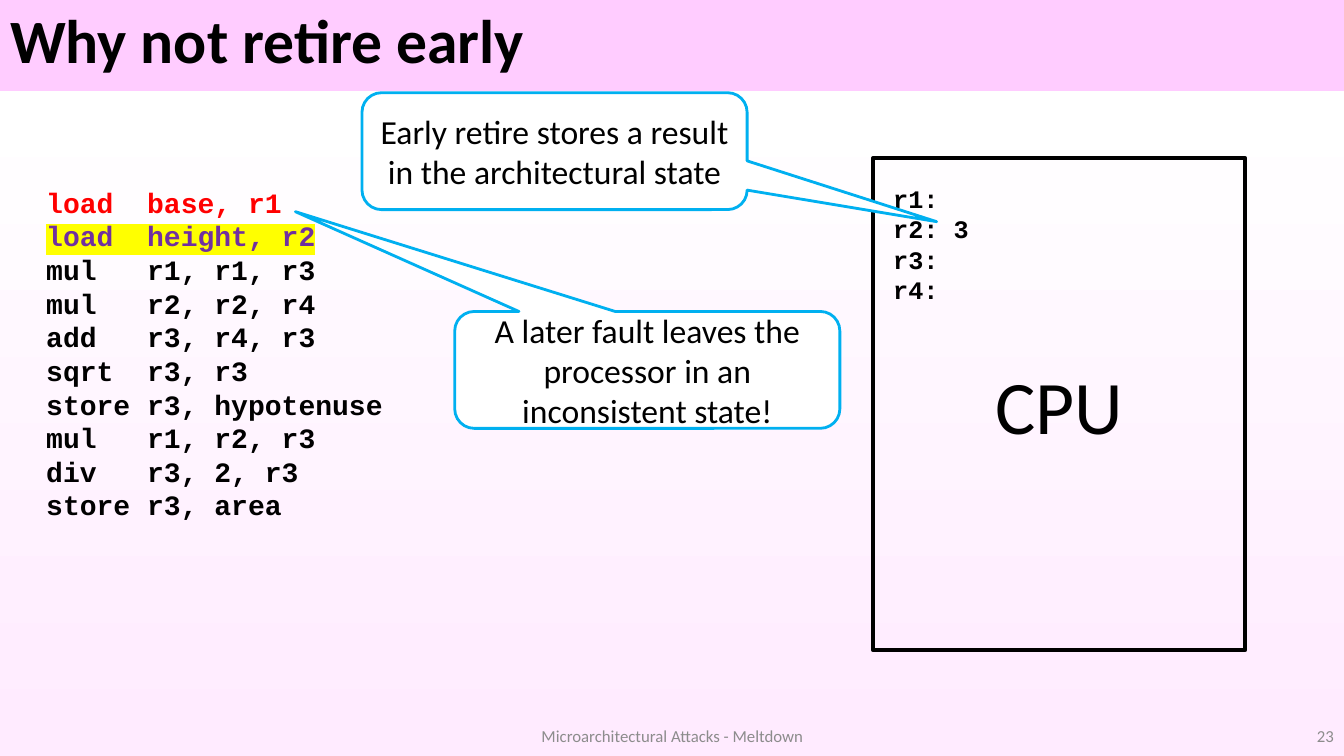
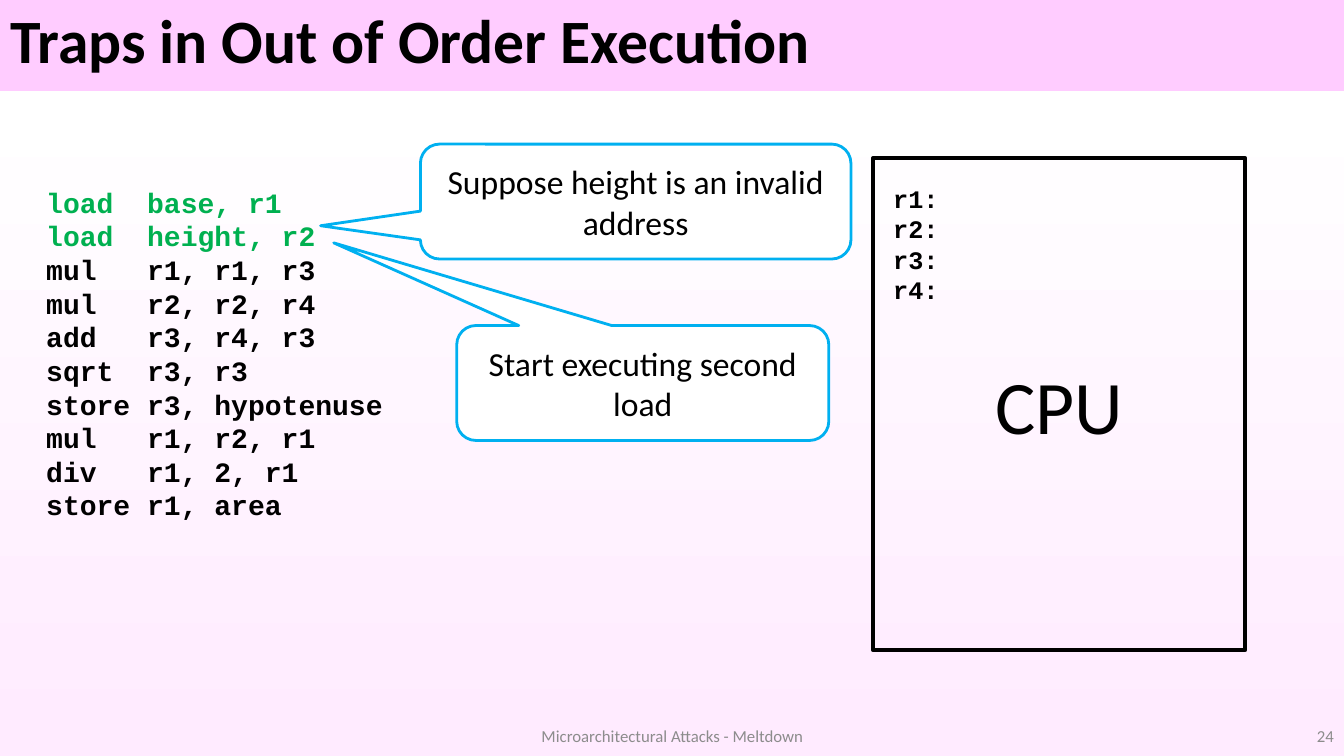
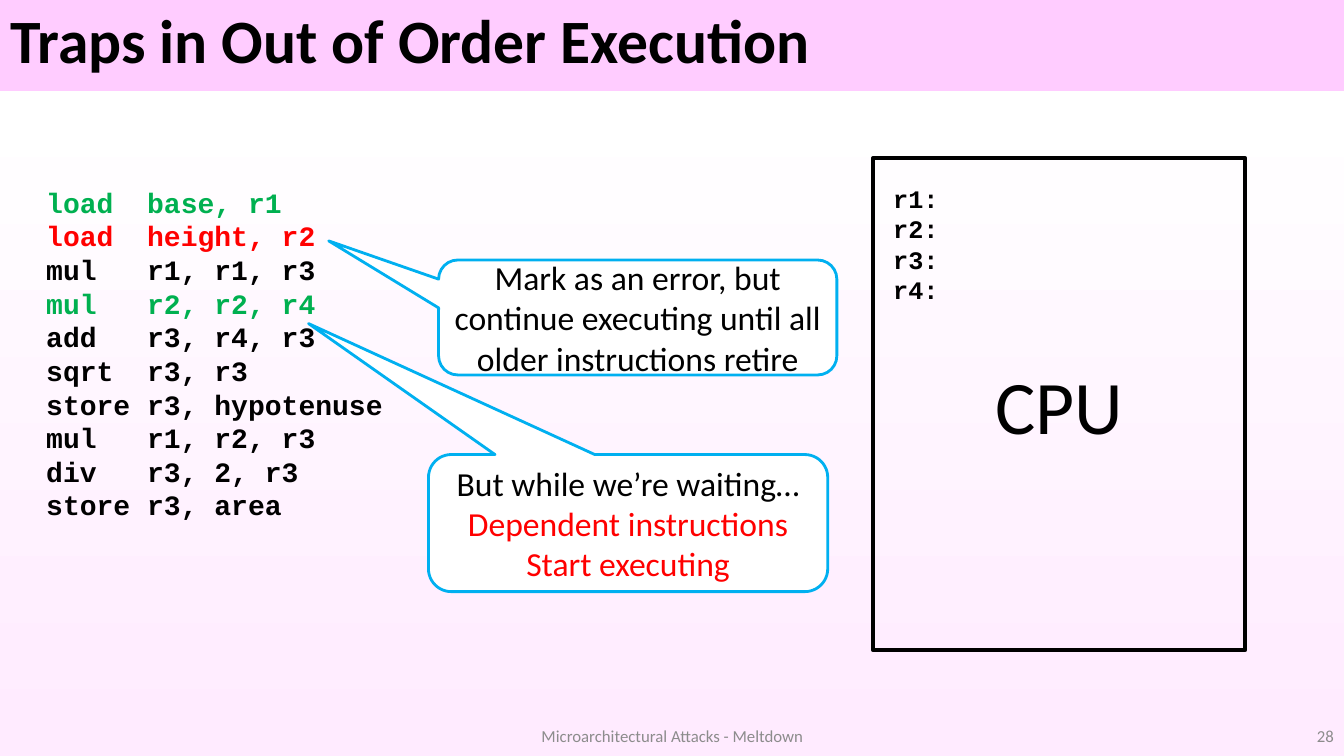
import copy
from dataclasses import dataclass

import lxml.etree
import pptx
import pptx.dml.color
import pptx.enum.shapes
import pptx.enum.text
import pptx.oxml.ns
import pptx.util

Inches = pptx.util.Inches
Align = pptx.enum.text.PP_ALIGN
Anchor = pptx.enum.text.MSO_ANCHOR
AutoSize = pptx.enum.text.MSO_AUTO_SIZE
Preset = pptx.enum.shapes.MSO_SHAPE


@dataclass(frozen=True)
class Theme:
    text_font: str = "Calibri"
    code_font: str = "Courier New"
    black: str = "000000"
    white: str = "FFFFFF"
    grey: str = "8C8C8C"
    red: str = "FF0000"
    green: str = "00B050"
    purple: str = "7030A0"
    yellow: str = "FFFF00"
    blue: str = "00B0F0"
    title_size: int = 44
    cpu_size: int = 54
    callout_size: int = 24
    code_size: int = 20
    register_size: int = 18
    footer_size: int = 12
    # Title band and page wash: (percent, colour) from top to bottom
    background: tuple = ((0, "FFCCFF"), (12, "FFCCFF"), (12, "FFFFFF"), (100, "FFEBFF"))


THEME = Theme()
FOOTER = "Microarchitectural Attacks - Meltdown"

# Boxes: left, top, width, height in inches
TITLE_BOX = (0, 0, 13.33, 0.87)
FOOTER_BOX = (4.42, 7.1, 4.5, 0.4)
NUMBER_BOX = (10.33, 7.1, 3, 0.4)
CODE_BOX = (0.36, 1.79, 3.82, 3.47)
CPU_BOX = (8.66, 1.57, 3.69, 4.88)

HYPOTENUSE_CODE = [
    "load  base, r1",
    "load  height, r2",
    "mul   r1, r1, r3",
    "mul   r2, r2, r4",
    "add   r3, r4, r3",
    "sqrt  r3, r3",
    "store r3, hypotenuse",
]


def area_code(register):
    return [f"mul   r1, r2, {register}", f"div   {register}, 2, {register}", f"store {register}, area"]


def rgb(colour):
    return pptx.dml.color.RGBColor.from_string(colour)


def inches(box):
    return [Inches(value) for value in box]


def place(shape, box):
    shape.left, shape.top, shape.width, shape.height = inches(box)


def write(shape, lines, size, font=THEME.text_font, bold=False, align=Align.LEFT,
          anchor=Anchor.MIDDLE, auto_size=AutoSize.NONE, colours=None):
    """Fill a shape with one paragraph per line; colours maps line index to colour."""
    frame = shape.text_frame
    frame.text = "\n".join(lines)
    frame.word_wrap = True
    frame.auto_size = auto_size
    frame.vertical_anchor = anchor
    for index, paragraph in enumerate(frame.paragraphs):
        paragraph.alignment = align
        for run in paragraph.runs:
            run.font.name = font
            run.font.size = pptx.util.Pt(size)
            run.font.bold = bold
            run.font.color.rgb = rgb((colours or {}).get(index, THEME.black))


def highlight(run, colour):
    qn = pptx.oxml.ns.qn
    mark = lxml.etree.Element(qn("a:highlight"))
    lxml.etree.SubElement(mark, qn("a:srgbClr"), val=colour)
    run.font._element.find(qn("a:solidFill")).addnext(mark)


def outline(shape, colour, width):
    shape.shadow.inherit = False
    shape.line.color.rgb = rgb(colour)
    shape.line.width = pptx.util.Pt(width)


def prepare_layout(presentation):
    """Set the shared background and the title, footer and number places."""
    qn = pptx.oxml.ns.qn
    master = presentation.slide_master
    fill = master.background.fill
    fill.gradient()
    fill.gradient_angle = 270
    stops = master.element.find(".//" + qn("a:gsLst"))
    for stop in list(stops):
        stops.remove(stop)
    for percent, colour in THEME.background:
        stop = lxml.etree.SubElement(stops, qn("a:gs"), pos=str(percent * 1000))
        lxml.etree.SubElement(stop, qn("a:srgbClr"), val=colour)

    layout = presentation.slide_layouts.get_by_name("Title Only")
    boxes = {0: TITLE_BOX, 11: FOOTER_BOX, 12: NUMBER_BOX}
    for placeholder in layout.placeholders:
        index = placeholder.placeholder_format.idx
        if index in boxes:
            place(placeholder, boxes[index])
    return layout


def add_footer_part(slide, layout, index, text, align):
    source = next(p for p in layout.placeholders if p.placeholder_format.idx == index)
    slide.shapes._spTree.append(copy.deepcopy(source.element))
    write(slide.shapes[-1], [text], THEME.footer_size, align=align, colours={0: THEME.grey})


def add_code(slide, box, lines, colours, marked):
    code = slide.shapes.add_textbox(*inches(box))
    write(code, lines, THEME.code_size, THEME.code_font, bold=True, anchor=Anchor.TOP,
          auto_size=AutoSize.SHAPE_TO_FIT_TEXT, colours=colours)
    for index in marked:
        highlight(code.text_frame.paragraphs[index].runs[0], THEME.yellow)


def add_cpu(slide, box, registers):
    """CPU frame with its register list in the upper left corner."""
    left, top, _, _ = box
    group = slide.shapes.add_group_shape()
    frame = group.shapes.add_shape(Preset.RECTANGLE, *inches(box))
    frame.fill.background()
    outline(frame, THEME.black, 3)
    write(frame, ["CPU"], THEME.cpu_size, align=Align.CENTER)
    values = group.shapes.add_textbox(*inches((left + 0.1, top + 0.2, 1.88, 1.31)))
    lines = [f"r{number}: {registers.get(number, '')}".rstrip() for number in range(1, 5)]
    write(values, lines, THEME.register_size, THEME.code_font, bold=True, anchor=Anchor.TOP,
          auto_size=AutoSize.SHAPE_TO_FIT_TEXT)


def add_callout(slide, box, tip, lines, colours=None):
    """Rounded callout whose tail ends at the point tip."""
    left, top, width, height = box
    callout = slide.shapes.add_shape(Preset.ROUNDED_RECTANGULAR_CALLOUT, *inches(box))
    callout.adjustments[0] = (tip[0] - left) / width - 0.5
    callout.adjustments[1] = (tip[1] - top) / height - 0.5
    callout.fill.solid()
    callout.fill.fore_color.rgb = rgb(THEME.white)
    outline(callout, THEME.blue, 2)
    write(callout, lines, THEME.callout_size, align=Align.CENTER, colours=colours)


def add_execution_slide(presentation, layout, title, number, code, colours, callouts,
                        registers=None, marked=()):
    slide = presentation.slides.add_slide(layout)
    # Title and footer
    write(slide.shapes.title, [title], THEME.title_size, bold=True)
    slide.shapes.title.text_frame.paragraphs[0].line_spacing = 0.9
    add_footer_part(slide, layout, 11, FOOTER, Align.CENTER)
    add_footer_part(slide, layout, 12, str(number), Align.RIGHT)
    # Program, processor and remarks
    add_code(slide, CODE_BOX, code, colours, marked)
    add_cpu(slide, CPU_BOX, registers or {})
    for callout in callouts:
        add_callout(slide, *callout)


def main():
    presentation = pptx.Presentation()
    presentation.slide_width = Inches(13.33)
    presentation.slide_height = Inches(7.5)
    layout = prepare_layout(presentation)

    # Early retirement
    add_execution_slide(
        presentation, layout, "Why not retire early", 23,
        HYPOTENUSE_CODE + area_code("r3"),
        {0: THEME.red, 1: THEME.purple},
        [
            ((4.51, 3.09, 3.82, 1.16), (2.93, 2.1),
             ["A later fault leaves the processor in an inconsistent state!"]),
            ((3.59, 0.92, 3.82, 1.16), (9.29, 2.2),
             ["Early retire stores a result in the architectural state"]),
        ],
        registers={2: "3"}, marked=[1])

    # Invalid address
    add_execution_slide(
        presentation, layout, "Traps in Out of Order Execution", 24,
        HYPOTENUSE_CODE + area_code("r1"),
        {0: THEME.green, 1: THEME.green},
        [
            ((4.53, 3.23, 3.69, 1.14), (3.31, 2.41), ["Start executing second load"]),
            ((4.17, 1.43, 4.27, 1.14), (3.18, 2.24), ["Suppose height is an invalid address"]),
        ])

    # Marked error
    add_execution_slide(
        presentation, layout, "Traps in Out of Order Execution", 28,
        HYPOTENUSE_CODE + area_code("r3"),
        {0: THEME.green, 1: THEME.red, 3: THEME.green},
        [
            ((4.35, 2.58, 3.95, 1.14), (3.26, 2.39),
             ["Mark as an error, but continue executing until all older instructions retire"]),
            ((4.25, 4.51, 3.96, 1.36), (3.06, 3.21),
             ["But while we’re waiting…", "Dependent instructions", "Start executing"],
             {1: THEME.red, 2: THEME.red}),
        ])

    presentation.save("out.pptx")


if __name__ == "__main__":
    main()
